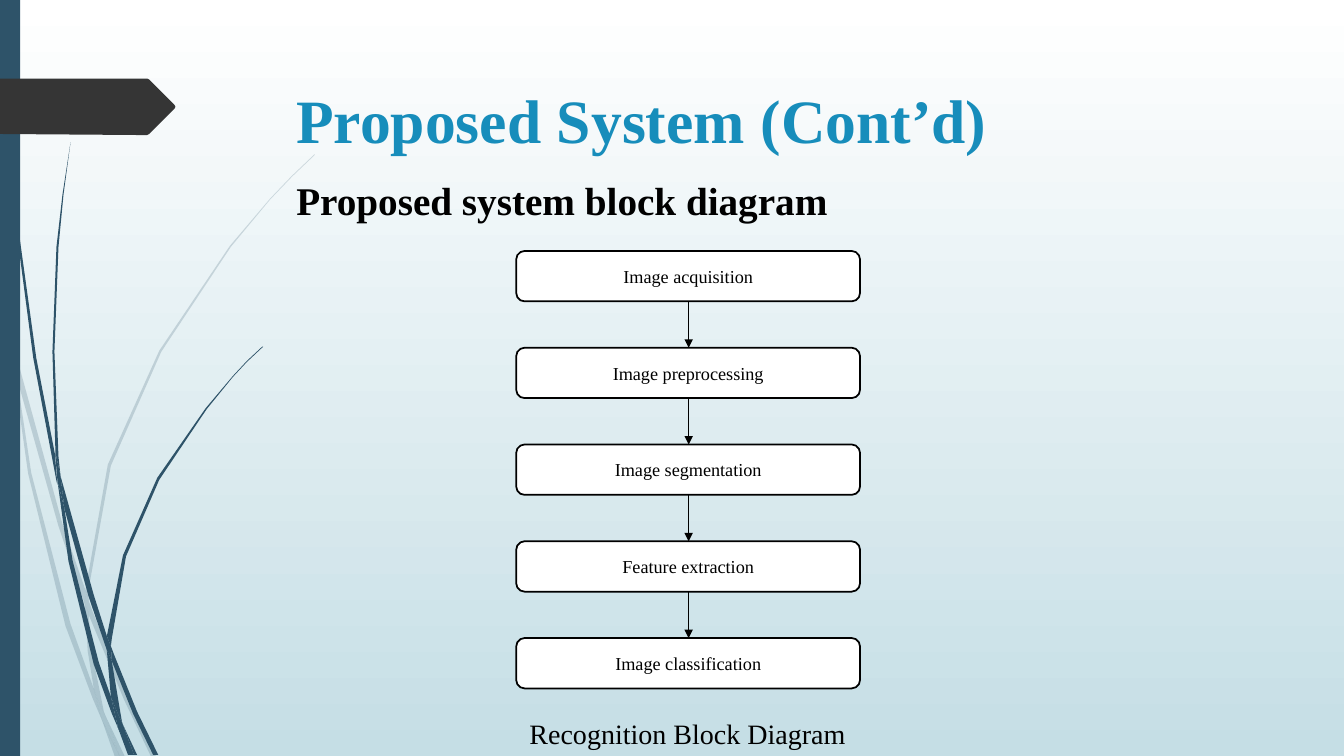
import pptx
import pptx.dml.color
import pptx.enum.dml
import pptx.enum.shapes
import pptx.enum.text
import pptx.oxml
import pptx.oxml.ns
import pptx.util

Inches = pptx.util.Inches
Color = pptx.dml.color.RGBColor
Align = pptx.enum.text.PP_ALIGN
Anchor = pptx.enum.text.MSO_ANCHOR
Preset = pptx.enum.shapes.MSO_SHAPE

NAVY = Color(0x2E, 0x53, 0x69)
CHARCOAL = Color(0x35, 0x35, 0x35)
TITLE_BLUE = Color(0x17, 0x8D, 0xBB)
MIST = Color(0xC5, 0xDE, 0xE5)
BLACK = Color(0, 0, 0)
WHITE = Color(0xFF, 0xFF, 0xFF)

# Outlines of the grass blades, as corner points in inches
PALE_BLADES = [
    [(0.11, 3.5), (0.09, 3.22), (0, 2.82), (0, 2.99), (0.1, 3.44)],
    [(0.58, 5.22), (0.84, 5.99), (0.85, 5.86), (0.62, 5.2), (0.14, 3.45),
     (0.17, 3.76)],
    [(0.92, 6.07), (0.88, 5.96), (0.88, 6.1), (1.23, 6.94), (1.5, 7.51),
     (1.55, 7.51), (1.27, 6.92)],
    [(1.19, 7.51), (1.24, 7.51), (1.05, 7.11)],
    [(0.93, 6.83), (0.7, 6.19), (0.31, 4.69), (0.17, 3.76), (0.11, 3.5),
     (0.28, 4.7), (0.65, 6.21), (0.92, 6.93), (1.01, 7.14), (0.99, 7.07)],
    [(0.84, 5.99), (0.87, 6.46), (0.93, 6.83), (0.96, 6.92), (1.05, 7.11),
     (1.03, 7.06), (0.91, 6.46), (0.88, 6.1), (0.88, 6.08)],
    [(0.88, 5.84), (1.1, 4.62), (1.6, 3.49), (2.29, 2.45), (2.68, 1.98),
     (2.9, 1.75), (3.12, 1.54), (3.12, 1.53), (2.89, 1.75), (2.68, 1.97),
     (2.28, 2.44), (1.58, 3.48), (1.07, 4.61), (0.85, 5.84), (0.85, 5.86),
     (0.88, 5.96)],
    [(1.01, 7.14), (1.14, 7.51), (1.19, 7.51)],
    [(0.88, 6.08), (0.88, 6.1), (0.88, 5.96), (0.85, 5.86), (0.84, 5.99)],
    [(0.96, 6.92), (0.93, 6.83), (0.99, 7.07), (1.01, 7.14), (1.19, 7.51),
     (1.05, 7.11)],
]
DARK_BLADES = [
    [(0.07, 1.1), (0.17, 2.33), (0.33, 3.55), (0.56, 4.77), (0.57, 4.81),
     (0.55, 4.57), (0.55, 4.53), (0.36, 3.55), (0.19, 2.32), (0.08, 1.09),
     (0.05, 0.48), (0.04, 0), (0.03, 0), (0.04, 0.48)],
    [(0.88, 5.92), (1.06, 6.45), (1.06, 6.31), (0.93, 5.9), (0.6, 4.72),
     (0.64, 5.05)],
    [(1.13, 6.49), (1.1, 6.41), (1.11, 6.56), (1.32, 7.08), (1.52, 7.49),
     (1.57, 7.49), (1.36, 7.06)],
    [(1.1, 6.91), (0.98, 6.57), (0.72, 5.56), (0.64, 5.05), (0.57, 4.77),
     (0.68, 5.57), (0.93, 6.59), (1.11, 7.08), (1.17, 7.22), (1.16, 7.17)],
    [(0.6, 4.72), (0.58, 4.53), (0.54, 3.49), (0.58, 2.45), (0.63, 1.93),
     (0.7, 1.41), (0.62, 1.93), (0.56, 2.45), (0.52, 3.49), (0.55, 4.49)],
    [(1.33, 7.49), (1.36, 7.49), (1.22, 7.19)],
    [(0.57, 4.77), (0.64, 5.05), (0.6, 4.72), (0.55, 4.49), (0.55, 4.53)],
    [(1.11, 6.33), (1.25, 5.52), (1.58, 4.76), (2.05, 4.06), (2.31, 3.74),
     (2.45, 3.59), (2.61, 3.44), (2.6, 3.44), (2.45, 3.58), (2.31, 3.73),
     (2.04, 4.05), (1.56, 4.74), (1.22, 5.51), (1.06, 6.31), (1.1, 6.41)],
    [(1.17, 7.22), (1.27, 7.49), (1.31, 7.49)],
    [(1.06, 6.45), (1.1, 6.91), (1.16, 7.06), (1.22, 7.19), (1.21, 7.16),
     (1.11, 6.56), (1.09, 6.51)],
    [(1.06, 6.45), (1.09, 6.51), (1.11, 6.56), (1.1, 6.41), (1.06, 6.31)],
    [(1.16, 7.06), (1.1, 6.91), (1.16, 7.17), (1.17, 7.22), (1.3, 7.49),
     (1.33, 7.49), (1.22, 7.19)],
]
PAGE_TAG = [(0, 0.78), (1.46, 0.78), (1.48, 0.79), (1.73, 1.04), (1.74, 1.06),
            (1.73, 1.08), (1.48, 1.33), (1.46, 1.34), (1.36, 1.34), (0, 1.33)]

STEPS = ["Image acquisition", "Image preprocessing", "Image segmentation",
         "Feature extraction", "Image classification"]
STEP_LEFT, STEP_TOP, STEP_WIDTH, STEP_HEIGHT = 5.12, 2.49, 3.41, 0.5
STEP_PITCH = 0.96
ARROW_X = 6.83


class SlidePainter:
    font = "Times New Roman"

    def __init__(self, page):
        self.page = page

    def background(self, top_color, bottom_color):
        fill = self.page.background.fill
        fill.gradient()
        fill.gradient_angle = 270
        for stop, position, color in zip(fill.gradient_stops, (0, 1),
                                         (top_color, bottom_color)):
            stop.position = position
            stop.color.rgb = color

    def paint(self, shape, color, opacity=100):
        shape.shadow.inherit = False
        shape.fill.solid()
        shape.fill.fore_color.rgb = color
        shape.line.fill.background()
        if opacity < 100:
            solid = shape._element.spPr.find(pptx.oxml.ns.qn("a:solidFill"))
            alpha = pptx.oxml.parse_xml(
                f'<a:alpha {pptx.oxml.ns.nsdecls("a")} val="{opacity * 1000}"/>')
            solid[0].append(alpha)

    def outline(self, shapes, points, color, opacity=100):
        corners = [(Inches(x), Inches(y)) for x, y in points]
        builder = shapes.build_freeform(*corners[0], scale=1.0)
        builder.add_line_segments(corners[1:], close=True)
        self.paint(builder.convert_to_shape(), color, opacity)

    def blades(self, outlines, opacity=100):
        group = self.page.shapes.add_group_shape()
        for points in outlines:
            self.outline(group.shapes, points, NAVY, opacity)

    def shape(self, preset, left, top, width, height, color):
        shape = self.page.shapes.add_shape(
            preset, Inches(left), Inches(top), Inches(width), Inches(height))
        self.paint(shape, color)
        return shape

    def set_words(self, frame, words, size, color, bold, align):
        frame.word_wrap = True
        frame.text = words
        para = frame.paragraphs[0]
        para.alignment = align
        span = para.runs[0]
        span.font.name = self.font
        span.font.size = pptx.util.Pt(size)
        span.font.bold = bold
        span.font.color.rgb = color

    def text(self, left, top, width, height, words, size,
             color=BLACK, bold=False, align=Align.LEFT, inset=0.05):
        box = self.page.shapes.add_textbox(
            Inches(left), Inches(top), Inches(width), Inches(height))
        box.text_frame.margin_top = Inches(inset)
        self.set_words(box.text_frame, words, size, color, bold, align)

    def step(self, top, words):
        box = self.shape(Preset.ROUNDED_RECTANGLE, STEP_LEFT, top,
                         STEP_WIDTH, STEP_HEIGHT, WHITE)
        box.line.color.rgb = BLACK
        box.line.width = pptx.util.Pt(1.25)
        box.text_frame.vertical_anchor = Anchor.MIDDLE
        self.set_words(box.text_frame, words, 13, BLACK, False, Align.CENTER)

    def arrow(self, x, top, bottom):
        arrow = self.page.shapes.add_connector(
            pptx.enum.shapes.MSO_CONNECTOR.STRAIGHT,
            Inches(x), Inches(top), Inches(x), Inches(bottom))
        arrow.line.color.rgb = BLACK
        arrow.line.width = pptx.util.Pt(0.75)
        namespace = pptx.oxml.ns.nsdecls("a")
        properties = arrow._element.spPr
        properties.find(pptx.oxml.ns.qn("a:ln")).append(
            pptx.oxml.parse_xml(f'<a:tailEnd {namespace} type="triangle"/>'))
        properties.append(pptx.oxml.parse_xml(f"<a:effectLst {namespace}/>"))


def main():
    deck = pptx.Presentation()
    deck.slide_width, deck.slide_height = Inches(13.33), Inches(7.5)
    painter = SlidePainter(deck.slides.add_slide(deck.slide_layouts[6]))

    # Backdrop and side decoration
    painter.background(WHITE, MIST)
    painter.blades(PALE_BLADES, opacity=20)
    painter.blades(DARK_BLADES)
    painter.shape(Preset.RECTANGLE, 0, 0, 0.2, 7.5, NAVY)
    painter.outline(painter.page.shapes, PAGE_TAG, CHARCOAL)

    # Headings and caption
    painter.text(2.84, 0.68, 9.75, 0.75, "Proposed System (Cont’d)", 44,
                 TITLE_BLUE, bold=True, inset=0.13)
    painter.text(2.84, 1.7, 7.98, 0.57, "Proposed system block diagram", 28,
                 bold=True)
    painter.text(2.83, 7.06, 7.98, 0.44, "Recognition Block Diagram", 20,
                 align=Align.CENTER)

    # Block diagram
    for index, words in enumerate(STEPS):
        top = STEP_TOP + index * STEP_PITCH
        painter.step(top, words)
        if index:
            painter.arrow(ARROW_X, top - STEP_PITCH + STEP_HEIGHT, top)

    deck.save("out.pptx")


if __name__ == "__main__":
    main()
